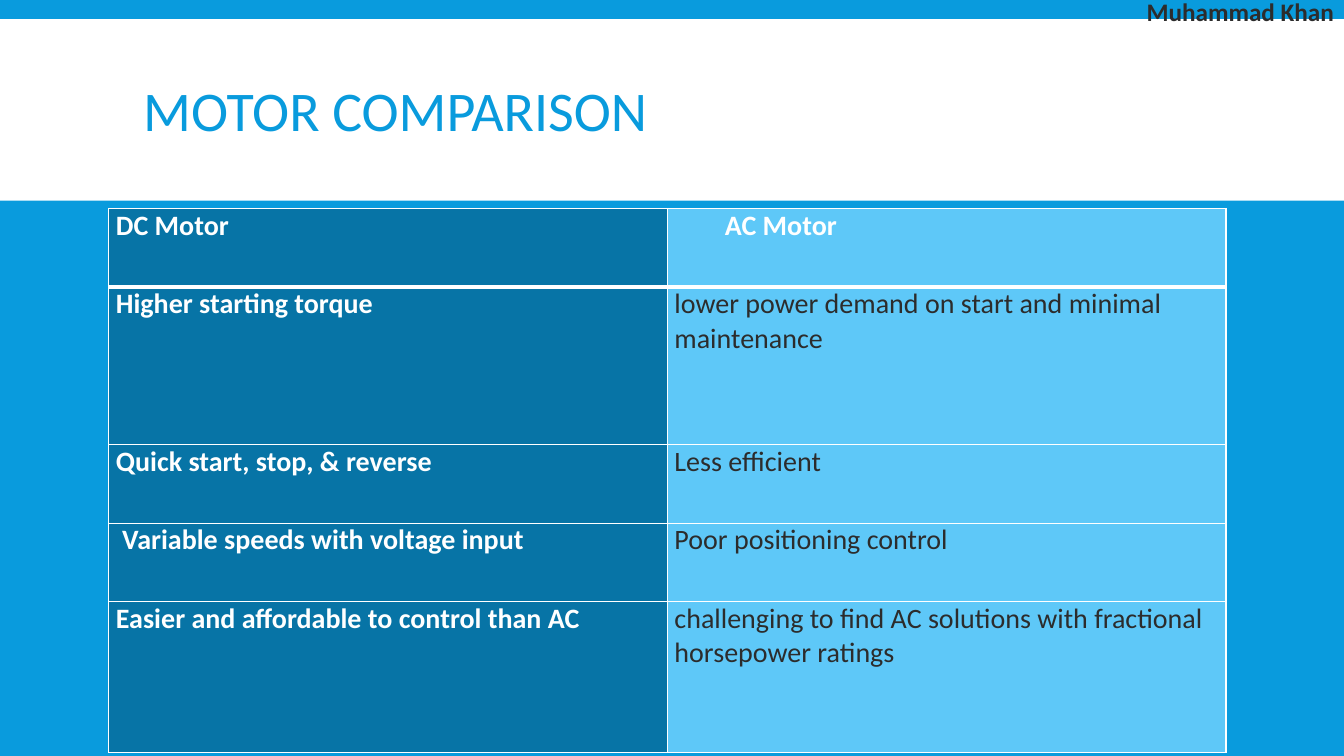
import dataclasses

import lxml.etree
import pptx
import pptx.dml.color
import pptx.enum.shapes
import pptx.enum.text
import pptx.oxml.ns
import pptx.util

RGBColor = pptx.dml.color.RGBColor
WHITE = RGBColor(0xFF, 0xFF, 0xFF)
BLUE = RGBColor(0x09, 0x9B, 0xDD)
DARK_BLUE = RGBColor(0x07, 0x74, 0xA6)
LIGHT_BLUE = RGBColor(0x5E, 0xC8, 0xF8)
CHARCOAL = RGBColor(0x2C, 0x2C, 0x2C)

FONT = "Calibri"
SLIDE_WIDTH = pptx.util.Inches(13.33)
SLIDE_HEIGHT = pptx.util.Inches(7.5)
COLUMN_WIDTH = pptx.util.Inches(5.54)
ROW_UNIT = pptx.util.Inches(0.78)
THIN, THICK = 1, 3


@dataclasses.dataclass(frozen=True)
class Area:
    """A rectangle in inches."""

    left: float
    top: float
    width: float
    height: float

    def place(self) -> tuple[int, ...]:
        return tuple(
            pptx.util.Inches(value)
            for value in (self.left, self.top, self.width, self.height)
        )


@dataclasses.dataclass(frozen=True)
class Comparison:
    """One table row; its height counts in row units."""

    dc_motor: str
    ac_motor: str
    units: float = 1


BAND = Area(0, 0.19, 13.33, 1.8)
TITLE = Area(1.32, 0.31, 10.7, 1.65)
TABLE = Area(1.08, 2.07, 11.08, 5.42)
AUTHOR = Area(11.19, -0.09, 2.14, 0.4)

COMPARISONS = [
    Comparison("DC Motor", "\tAC Motor"),
    Comparison(
        "Higher starting torque",
        "lower power demand on start and minimal maintenance",
        2,
    ),
    Comparison("Quick start, stop, & reverse", "Less efficient"),
    Comparison(" Variable speeds with voltage input ", "Poor positioning control"),
    Comparison(
        "Easier and affordable to control than AC",
        "challenging to find AC solutions with fractional horsepower ratings",
        1.92,
    ),
]


def style_text(para, size: float, color: RGBColor, bold: bool = False) -> None:
    for span in para.runs:
        span.font.name = FONT
        span.font.size = pptx.util.Pt(size)
        span.font.bold = bold
        span.font.color.rgb = color


def add_borders(cell, top: float, bottom: float) -> None:
    """Give a cell white borders; call it before the fill is set."""
    properties = cell._tc.get_or_add_tcPr()
    widths = {"a:lnL": THIN, "a:lnR": THIN, "a:lnT": top, "a:lnB": bottom}
    for tag, width in widths.items():
        line = lxml.etree.SubElement(
            properties, pptx.oxml.ns.qn(tag), w=str(pptx.util.Pt(width))
        )
        fill = lxml.etree.SubElement(line, pptx.oxml.ns.qn("a:solidFill"))
        lxml.etree.SubElement(fill, pptx.oxml.ns.qn("a:srgbClr"), val=str(WHITE))


def fill_cell(cell, text: str, fill: RGBColor, color: RGBColor, bold: bool) -> None:
    cell.fill.solid()
    cell.fill.fore_color.rgb = fill
    cell.margin_left = cell.margin_right = pptx.util.Inches(0.07)
    cell.margin_top = cell.margin_bottom = 0
    cell.text_frame.text = text
    para = cell.text_frame.paragraphs[0]
    para.space_after = pptx.util.Pt(15)
    style_text(para, 20, color, bold)


def add_title(page) -> None:
    title = page.shapes.title
    title.left, title.top, title.width, title.height = TITLE.place()
    frame = title.text_frame
    frame.text = "MOTOR COMPARISON"
    frame.auto_size = pptx.enum.text.MSO_AUTO_SIZE.NONE
    frame.vertical_anchor = pptx.enum.text.MSO_ANCHOR.MIDDLE
    para = frame.paragraphs[0]
    para.alignment = pptx.enum.text.PP_ALIGN.LEFT
    para.line_spacing = 0.85
    style_text(para, 40, BLUE)


def add_band(page) -> None:
    """Lay the white band behind the title."""
    band = page.shapes.add_shape(
        pptx.enum.shapes.MSO_SHAPE.RECTANGLE, *BAND.place()
    )
    band.shadow.inherit = False
    band.fill.solid()
    band.fill.fore_color.rgb = WHITE
    band.line.fill.background()
    page.shapes.title.element.addprevious(band.element)


def add_comparison_table(page) -> None:
    table = page.shapes.add_table(len(COMPARISONS), 2, *TABLE.place()).table
    for column in table.columns:
        column.width = COLUMN_WIDTH
    for index, comparison in enumerate(COMPARISONS):
        header = index == 0
        table.rows[index].height = round(ROW_UNIT * comparison.units)
        dc_cell, ac_cell = table.rows[index].cells
        for cell in (dc_cell, ac_cell):
            add_borders(
                cell,
                top=THICK if index == 1 else THIN,
                bottom=THICK if header else THIN,
            )
        fill_cell(dc_cell, comparison.dc_motor, DARK_BLUE, WHITE, True)
        ac_color = WHITE if header else CHARCOAL
        fill_cell(ac_cell, comparison.ac_motor, LIGHT_BLUE, ac_color, header)


def add_author(page) -> None:
    box = page.shapes.add_textbox(*AUTHOR.place())
    frame = box.text_frame
    frame.text = "Muhammad Khan"
    frame.word_wrap = False
    frame.auto_size = pptx.enum.text.MSO_AUTO_SIZE.SHAPE_TO_FIT_TEXT
    para = frame.paragraphs[0]
    para.alignment = pptx.enum.text.PP_ALIGN.RIGHT
    style_text(para, 18, CHARCOAL, True)


def main() -> None:
    deck = pptx.Presentation()
    deck.slide_width, deck.slide_height = SLIDE_WIDTH, SLIDE_HEIGHT
    page = deck.slides.add_slide(deck.slide_layouts.get_by_name("Title Only"))
    page.background.fill.solid()
    page.background.fill.fore_color.rgb = BLUE
    add_title(page)
    add_band(page)
    add_comparison_table(page)
    add_author(page)
    deck.save("out.pptx")


if __name__ == "__main__":
    main()
